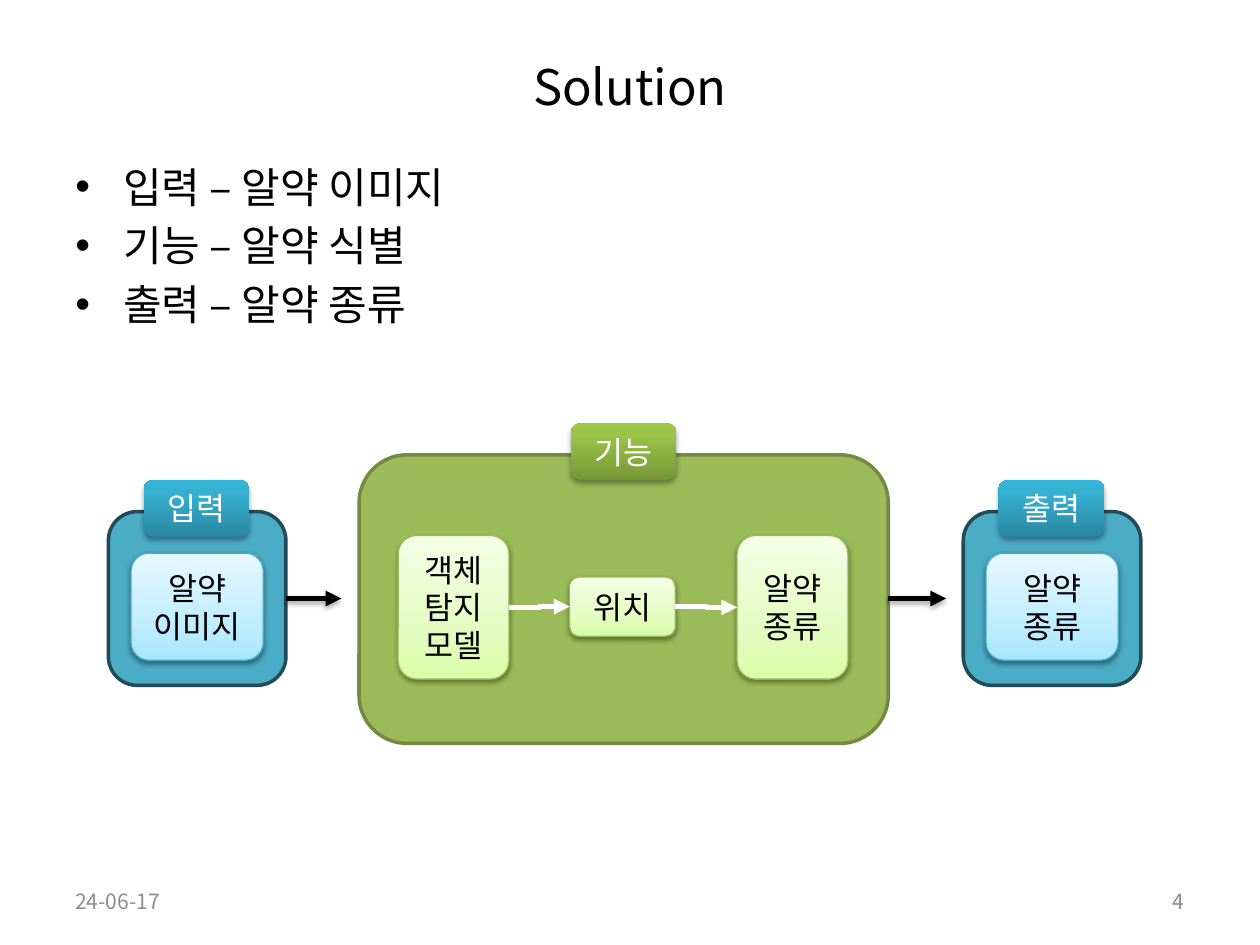
from copy import deepcopy

from lxml import etree
from pptx import Presentation, util as u
from pptx.dml.color import RGBColor
from pptx.enum import shapes, text
from pptx.oxml import ns

COLORS = {
    "ink": "000000", "white": "FFFFFF", "grey": "8C8C8C",
    "blue": "4BACC6", "blue_edge": "214B57", "blue_rim": "46AAC5",
    "green": "9BBB59", "green_edge": "738A42", "green_rim": "98B955",
}
# Gradients run from bottom to top: (position, colour)
GRADIENTS = {
    "blue_tag": ((0, "2A88A2"), (0.8, "37B1D2"), (1, "34B4D6")),
    "green_tag": ((0, "779737"), (0.8, "9BC348"), (1, "9DC746")),
    "blue_card": ((0, "A7E6FF"), (0.35, "C1EDFF"), (1, "E7F8FF")),
    "green_card": ((0, "DAFDA7"), (0.35, "E4FCC2"), (1, "F5FFE7")),
}
# Shadows: opacity in percent, distance in points
CARD_SHADOW, TAG_SHADOW = (38, 1.6), (35, 1.8)
COLUMNS, ROWS = 100, 75
LEFT_SITE, RIGHT_SITE = 1, 3


def rgb(name):
    return RGBColor.from_string(COLORS[name])


def add_child(parent, tag, **attributes):
    child = etree.SubElement(parent, ns.qn(tag))
    for key, value in attributes.items():
        child.set(key, str(value))
    return child


def write(frame, content, size=18, color="ink", font="Noto Sans CJK KR",
          align="LEFT", anchor="MIDDLE", bullet=None, gap=0):
    """Fill a frame; a newline starts a paragraph, a vertical tab a line."""
    frame.word_wrap = True
    frame.vertical_anchor = getattr(text.MSO_ANCHOR, anchor)
    for index, line in enumerate(content.split("\n")):
        para = frame.add_paragraph() if index else frame.paragraphs[0]
        para.text = line
        para.alignment = getattr(text.PP_ALIGN, align)
        if bullet:
            props = para._p.get_or_add_pPr()
            indent = u.Inches(0.38)
            props.set("marL", str(indent))
            props.set("indent", str(-indent))
            add_child(props, "a:buFont", typeface="Arial")
            add_child(props, "a:buChar", char=bullet)
        if index:
            para.space_before = u.Pt(gap)
        for span in para.runs:
            span.font.size = u.Pt(size)
            span.font.name = font
            span.font.color.rgb = rgb(color)
            add_child(span.font._element, "a:ea", typeface=font)


class Board:
    def __init__(self):
        self.deck = Presentation()
        self.deck.slide_width, self.deck.slide_height = u.Inches(10), u.Inches(7.5)
        self.page = self.deck.slides.add_slide(self.deck.slide_layouts[5])

    def place(self, *cells):
        """Turn alternating columns and rows into lengths."""
        units = (self.deck.slide_width / COLUMNS, self.deck.slide_height / ROWS)
        return [u.Emu(round(cell * units[i % 2])) for i, cell in enumerate(cells)]

    def title(self, content, *cells):
        box = self.page.shapes.title
        box.left, box.top, box.width, box.height = self.place(*cells)
        write(box.text_frame, content, size=28, align="CENTER")

    def label(self, content, *cells, **style):
        box = self.page.shapes.add_textbox(*self.place(*cells))
        write(box.text_frame, content, **style)

    def shade(self, item, shadow):
        """Give an item its own shadow, or none; call after fill and line."""
        effects = add_child(item._element.spPr, "a:effectLst")
        if shadow:
            opacity, distance = shadow
            outer = add_child(effects, "a:outerShdw", blurRad=u.Pt(3.1),
                              dist=u.Pt(distance), dir=5400000, rotWithShape=0)
            tint = add_child(outer, "a:srgbClr", val=COLORS["ink"])
            add_child(tint, "a:alpha", val=opacity * 1000)

    def block(self, *cells, fill, edge=None, width=0.75, shadow=None,
              content="", color="ink"):
        box = self.page.shapes.add_shape(
            shapes.MSO_SHAPE.ROUNDED_RECTANGLE, *self.place(*cells))
        if fill in GRADIENTS:
            box.fill.gradient()
            box.fill.gradient_angle = 90
            stops = box._element.spPr.find(".//" + ns.qn("a:gsLst"))
            stops.append(deepcopy(stops[0]))
            for stop, (position, value) in zip(box.fill.gradient_stops, GRADIENTS[fill]):
                stop.position = position
                stop.color.rgb = RGBColor.from_string(value)
        else:
            box.fill.solid()
            box.fill.fore_color.rgb = rgb(fill)
        if edge:
            box.line.color.rgb = rgb(edge)
            box.line.width = u.Pt(width)
        else:
            box.line.fill.background()
        self.shade(box, shadow)
        if content:
            write(box.text_frame, content, color=color, align="CENTER")
        return box

    def panel(self, *cells, hue):
        return self.block(*cells, fill=hue, edge=hue + "_edge", width=2)

    def card(self, content, *cells, hue):
        return self.block(*cells, fill=hue + "_card", edge=hue + "_rim",
                          shadow=CARD_SHADOW, content=content)

    def tag(self, content, column, row, hue):
        return self.block(column, row, 8.4, 4.5, fill=hue + "_tag",
                          shadow=TAG_SHADOW, content=content, color="white")

    def arrow(self, *cells, kind="STRAIGHT", color="ink", shadow=None):
        line = self.page.shapes.add_connector(
            getattr(shapes.MSO_CONNECTOR, kind), *self.place(*cells))
        line.line.color.rgb = rgb(color)
        line.line.width = u.Pt(3)
        add_child(line.line._get_or_add_ln(), "a:tailEnd", type="triangle")
        self.shade(line, shadow)
        return line

    def link(self, start, end):
        line = self.arrow(0, 0, 0, 0, kind="ELBOW", color="white")
        line.begin_connect(start, RIGHT_SITE)
        line.end_connect(end, LEFT_SITE)


def main():
    board = Board()

    # Heading, bullets and footer
    board.title("Solution", 5, 3, 90, 7.7)
    board.label("입력 – 알약 이미지\n기능 – 알약 식별\n출력 – 알약 종류",
                5, 12.3, 90, 54.7, size=24, anchor="TOP", bullet="•", gap=4.8)
    for content, column, align in (("24-06-17", 5, "LEFT"), ("4", 71.7, "RIGHT")):
        board.label(content, column, 69.5, 23.3, 4, size=12, color="grey", align=align)

    # Input and output
    for name, content, column in (("입력", "알약\v이미지", 8.6),
                                  ("출력", "알약\v종류", 76.45)):
        board.panel(column, 40.6, 14.1, 13.8, hue="blue")
        board.tag(name, column + 2.8, 38.1, hue="blue")
        board.card(content, column + 1.8, 43.9, 10.5, 8.5, hue="blue")

    # Function and its steps
    board.panel(28.5, 36.1, 42, 22.9, hue="green")
    board.tag("기능", 45.3, 33.6, hue="green")
    model = board.card("객체 탐지 모델", 31.6, 42.5, 8.8, 11.4, hue="green")
    position = board.card("위치", 45.2, 45.8, 8.4, 4.7, hue="green")
    kind = board.card("알약종류", 58.5, 42.5, 8.8, 11.4, hue="green")
    board.link(model, position)
    board.link(position, kind)

    # Flow between the panels
    for start, end in ((22.7, 27.1), (70.5, 75.1)):
        board.arrow(start, 47.5, end, 47.5, shadow=TAG_SHADOW)

    board.deck.save("out.pptx")


if __name__ == "__main__":
    main()
